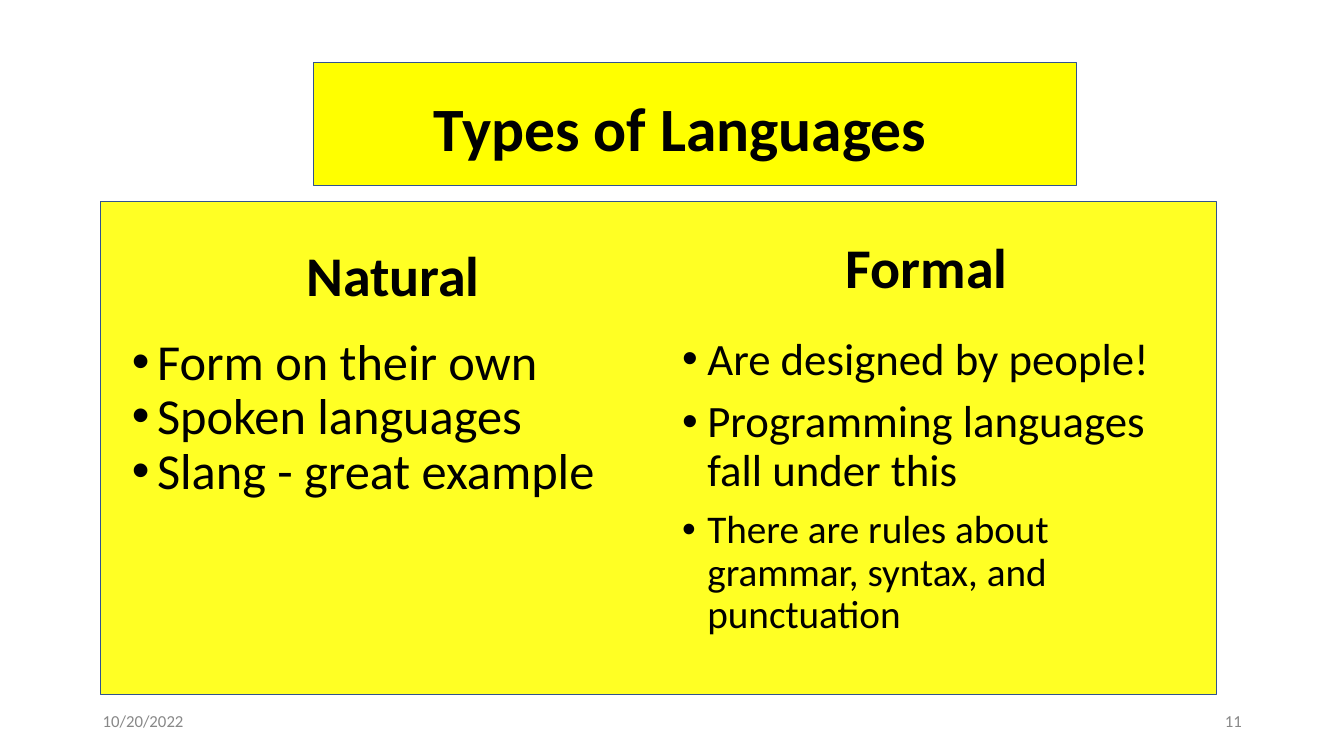
from lxml.etree import SubElement
from pptx import Presentation
from pptx.dml.color import RGBColor
from pptx.enum.shapes import MSO_SHAPE
from pptx.enum.text import MSO_ANCHOR, PP_ALIGN
from pptx.oxml.ns import qn
from pptx.util import Pt

YELLOW = RGBColor(0xFF, 0xFF, 0x00)
BORDER = RGBColor(0x31, 0x53, 0x8F)
BLACK = RGBColor(0x00, 0x00, 0x00)
GREY = RGBColor(0x88, 0x88, 0x88)
WHITE = RGBColor(0xFF, 0xFF, 0xFF)

FONT = "Calibri"
LINE_SPACING = 0.9
LISTS_TOP, LISTS_HEIGHT = 236.9, 229.7
FOOTER_TOP, FOOTER_WIDTH, FOOTER_HEIGHT = 500.4, 216, 28.8


def add_panel(slide, left, top, width, height, opacity=100):
    panel = slide.shapes.add_shape(
        MSO_SHAPE.RECTANGLE, Pt(left), Pt(top), Pt(width), Pt(height))
    panel.shadow.inherit = False
    panel.fill.solid()
    panel.fill.fore_color.rgb = YELLOW
    panel.line.color.rgb = BORDER
    panel.line.width = Pt(1)
    if opacity < 100:
        color = panel.fill._xPr.find(qn("a:solidFill"))[0]
        SubElement(color, qn("a:alpha"), val=str(opacity * 1000))


def add_frame(slide, left, top, width, height, anchor):
    box = slide.shapes.add_textbox(Pt(left), Pt(top), Pt(width), Pt(height))
    frame = box.text_frame
    frame.word_wrap = True
    frame.vertical_anchor = anchor
    return frame


def style(paragraph, size, color=BLACK, bold=False):
    for run in paragraph.runs:
        run.font.name = FONT
        run.font.size = Pt(size)
        run.font.color.rgb = color
        run.font.bold = bold


def add_heading(slide, text, left, top, width, height, size, anchor):
    frame = add_frame(slide, left, top, width, height, anchor)
    frame.text = text
    heading = frame.paragraphs[0]
    heading.alignment = PP_ALIGN.CENTER
    heading.line_spacing = LINE_SPACING
    style(heading, size, bold=True)


def add_bullet(paragraph):
    properties = paragraph._p.get_or_add_pPr()
    properties.set("marL", str(Pt(18)))
    properties.set("indent", str(-Pt(18)))
    bullet_color = SubElement(properties, qn("a:buClr"))
    SubElement(bullet_color, qn("a:srgbClr"), val=str(BLACK))
    SubElement(properties, qn("a:buFont"), typeface="Arial")
    SubElement(properties, qn("a:buChar"), char="•")


def add_list(slide, items, left, width, gap=0):
    frame = add_frame(slide, left, LISTS_TOP, width, LISTS_HEIGHT,
                      MSO_ANCHOR.TOP)
    frame.text = "\n".join(text for text, size in items)
    for index, (text, size) in enumerate(items):
        paragraph = frame.paragraphs[index]
        add_bullet(paragraph)
        paragraph.line_spacing = LINE_SPACING
        paragraph.space_before = Pt(gap if index else 0)
        style(paragraph, size)


def add_footer(slide, text, left, alignment):
    frame = add_frame(slide, left, FOOTER_TOP, FOOTER_WIDTH, FOOTER_HEIGHT,
                      MSO_ANCHOR.MIDDLE)
    frame.text = text
    frame.paragraphs[0].alignment = alignment
    style(frame.paragraphs[0], 12, GREY)


def main():
    deck = Presentation()
    deck.slide_width, deck.slide_height = Pt(960), Pt(540)
    slide = deck.slides.add_slide(deck.slide_layouts[6])
    slide.background.fill.solid()
    slide.background.fill.fore_color.rgb = WHITE

    # Yellow panels behind the title and the two columns
    add_panel(slide, 223.9, 44.6, 545, 87.8)
    add_panel(slide, 72, 144, 797, 352, opacity=86)

    # Natural languages
    add_heading(slide, "Natural", 88.6, 159.1, 384, 64.8, 40,
                MSO_ANCHOR.BOTTOM)
    add_list(slide, [("Form on their own", 36),
                     ("Spoken languages", 36),
                     ("Slang - great example", 36)], 87.1, 385.2)

    # Formal languages
    add_heading(slide, "Formal", 480.2, 153.4, 363.6, 64.8, 40,
                MSO_ANCHOR.BOTTOM)
    add_list(slide, [
        ("Are designed by people!", 32),
        ("Programming languages fall under this", 32),
        ("There are rules about grammar, syntax, and punctuation", 28),
    ], 480.2, 363.6, gap=10)

    # Title
    add_heading(slide, "Types of Languages", 72, 41.8, 828, 104.4, 44,
                MSO_ANCHOR.MIDDLE)

    # Date and slide number
    add_footer(slide, "10/20/2022", 66.2, PP_ALIGN.LEFT)
    add_footer(slide, "11", 678.2, PP_ALIGN.RIGHT)

    deck.save("out.pptx")


if __name__ == "__main__":
    main()
